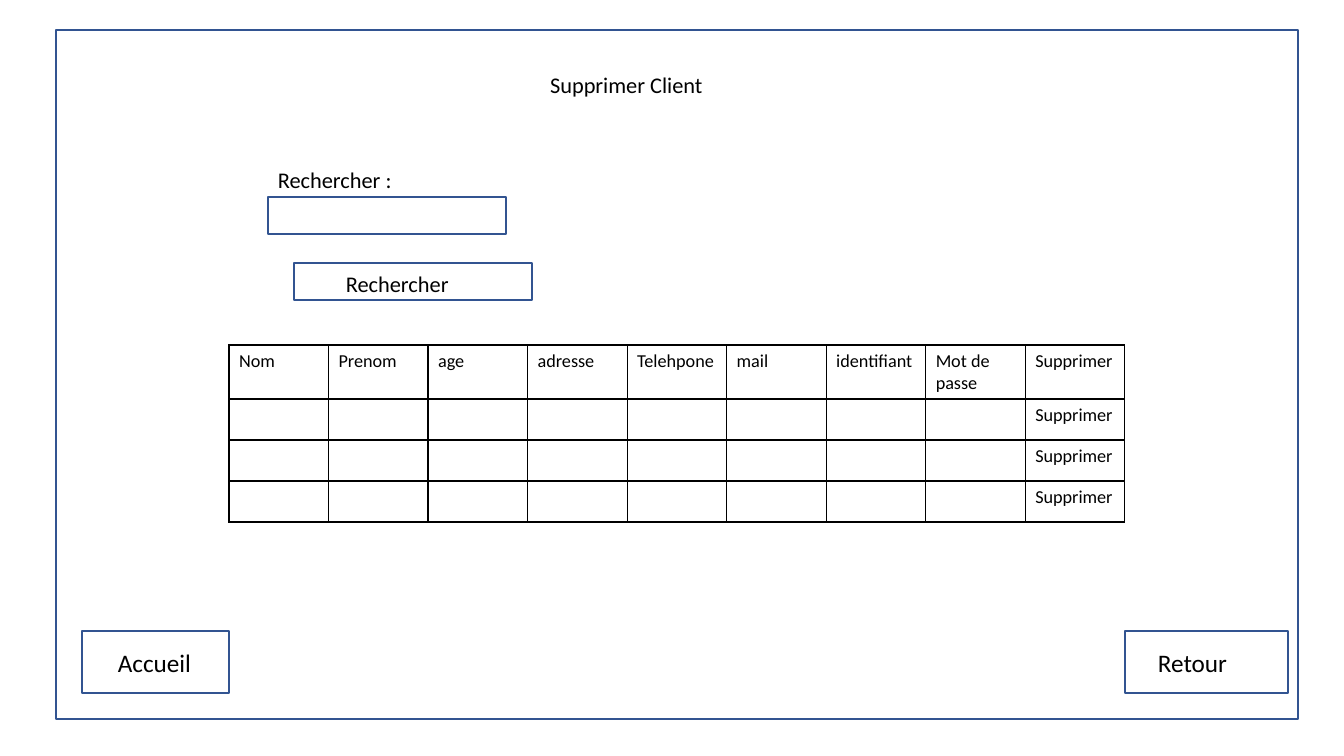
"""Build the "Supprimer Client" screen mock-up slide."""
from lxml.etree import SubElement
from pptx import Presentation
from pptx.dml.color import RGBColor
from pptx.enum.shapes import MSO_SHAPE
from pptx.enum.text import MSO_ANCHOR, MSO_AUTO_SIZE, PP_ALIGN
from pptx.oxml.ns import qn
from pptx.util import Pt

SCALE = 914400 / 100.8
BLACK, WHITE, BLUE = "000000", "FFFFFF", "325491"


def color(value):
    return RGBColor.from_string(value)


def write(holder, wording, size):
    holder.text = wording
    paragraph = holder.paragraphs[0]
    paragraph.alignment = PP_ALIGN.LEFT
    paragraph.font.size = Pt(size)
    paragraph.font.name = "Calibri"
    paragraph.font.color.rgb = color(BLACK)


presentation = Presentation()
presentation.slide_width = round(1344 * SCALE)
presentation.slide_height = round(756 * SCALE)
slide = presentation.slides.add_slide(presentation.slide_layouts[5])

outlines = [
    (56, 30, 1242, 689),
    (268, 197, 238, 37),
    (294, 263, 238, 37),
    (82, 631, 147, 62),
    (1125, 631, 163, 62),
]
for bounds in outlines:
    outline = slide.shapes.add_shape(
        MSO_SHAPE.RECTANGLE, *[round(length * SCALE) for length in bounds])
    outline.shadow.inherit = False
    outline.fill.background()
    outline.line.color.rgb = color(BLUE)
    outline.line.width = Pt(1)

heading = slide.shapes.title
heading.left, heading.top, heading.width, heading.height = [
    round(length * SCALE) for length in (540, 66, 265, 37)]
write(heading.text_frame, "Supprimer Client", 16)
heading.text_frame.auto_size = MSO_AUTO_SIZE.NONE
heading.text_frame.vertical_anchor = MSO_ANCHOR.TOP

labels = [
    ("Rechercher :", 16, (268, 161, 265, 37)),
    ("Rechercher", 16, (336, 265, 128, 37)),
    ("Accueil", 18, (108, 642, 147, 40)),
    ("Retour", 18, (1148, 642, 163, 40)),
]
for wording, size, bounds in labels:
    label = slide.shapes.add_textbox(*[round(length * SCALE) for length in bounds])
    label.text_frame.word_wrap = True
    write(label.text_frame, wording, size)

fields = ["Nom", "Prenom", "age", "adresse", "Telehpone", "mail",
          "identifiant", "Mot de passe", "Supprimer"]
client_row = [""] * 8 + ["Supprimer"]
records = [fields] + [client_row] * 3
row_heights = [54, 41, 41, 41]
clients = slide.shapes.add_table(
    len(records), len(fields),
    *[round(length * SCALE) for length in (229, 345, 896, sum(row_heights))]).table
clients.first_row = False
clients.horz_banding = False
for row, height in zip(clients.rows, row_heights):
    row.height = round(height * SCALE)
for row, record in zip(clients.rows, records):
    for cell, wording in zip(row.cells, record):
        write(cell.text_frame, wording, 13)
        properties = cell._tc.get_or_add_tcPr()
        for side in ("a:lnL", "a:lnR", "a:lnT", "a:lnB"):
            border = SubElement(properties, qn(side), w=str(Pt(1)))
            paint = SubElement(border, qn("a:solidFill"))
            SubElement(paint, qn("a:srgbClr"), val=BLACK)
        cell.fill.solid()
        cell.fill.fore_color.rgb = color(WHITE)

presentation.save("out.pptx")
